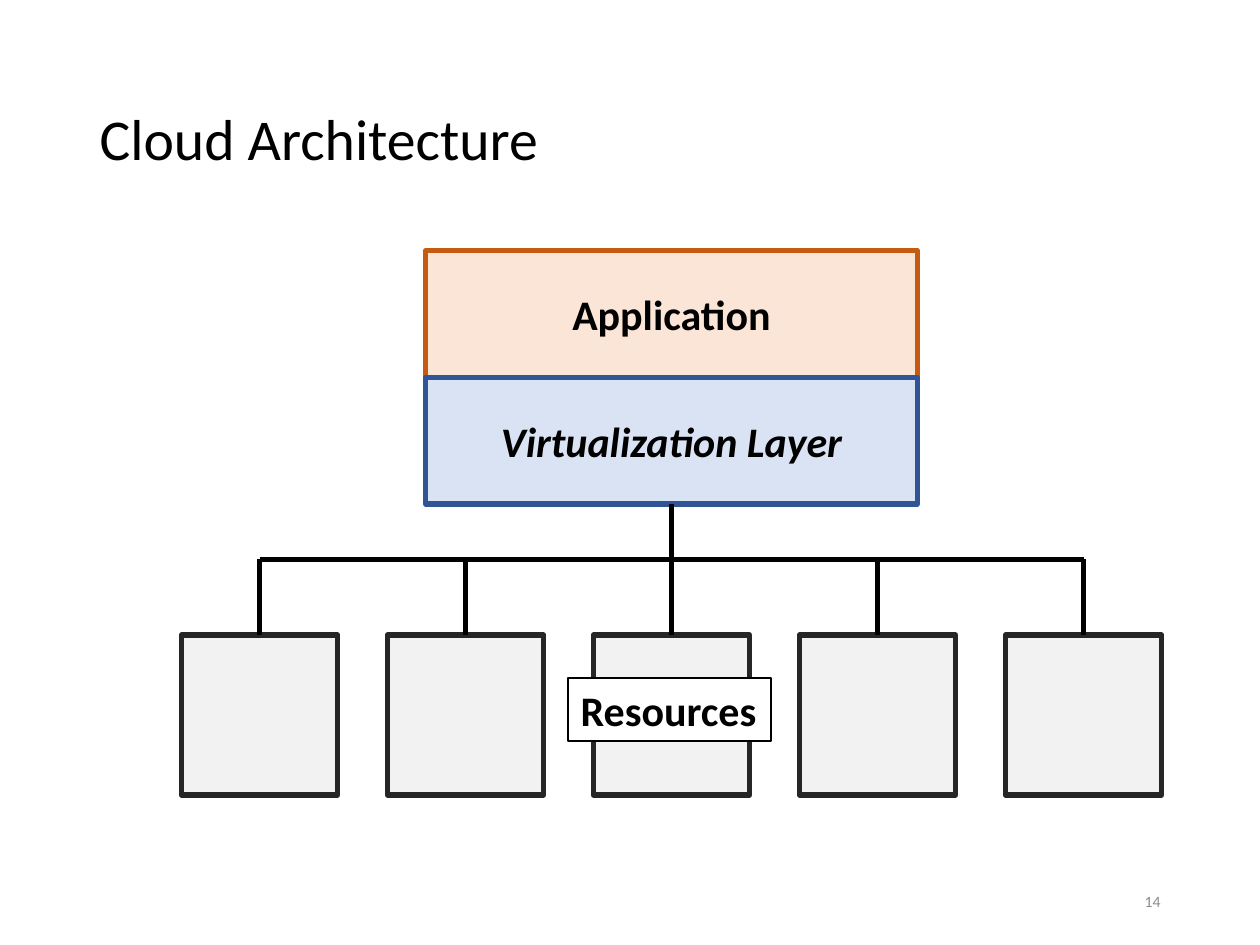
import pptx
import pptx.util
import pptx.dml.color
import pptx.enum.shapes
import pptx.enum.text
import pptx.oxml.ns
import lxml.etree

Inches = pptx.util.Inches
Pt = pptx.util.Pt
RGBColor = pptx.dml.color.RGBColor
ALIGN = pptx.enum.text.PP_ALIGN
ANCHOR = pptx.enum.text.MSO_ANCHOR
FIT = pptx.enum.text.MSO_AUTO_SIZE

BLACK = RGBColor(0x00, 0x00, 0x00)
WHITE = RGBColor(0xFF, 0xFF, 0xFF)
NUMBER_GRAY = RGBColor(0x8C, 0x8C, 0x8C)
ORANGE = RGBColor(0xC5, 0x5A, 0x11)
LIGHT_ORANGE = RGBColor(0xFB, 0xE5, 0xD6)
BLUE = RGBColor(0x2F, 0x55, 0x97)
LIGHT_BLUE = RGBColor(0xDA, 0xE3, 0xF3)
DARK_GRAY = RGBColor(0x26, 0x26, 0x26)
LIGHT_GRAY = RGBColor(0xF2, 0xF2, 0xF2)

LABEL = {"size": Pt(24), "bold": True}


def write_text(shape, text, font, color=BLACK, align=ALIGN.LEFT, frame=None):
    frame_format = {"word_wrap": True, "vertical_anchor": ANCHOR.MIDDLE, "auto_size": FIT.NONE}
    for name, value in {**frame_format, **(frame or {})}.items():
        setattr(shape.text_frame, name, value)
    para = shape.text_frame.paragraphs[0]
    para.alignment = align
    span = para.add_run()
    span.text = text
    for name, value in {"name": "Calibri", **font}.items():
        setattr(span.font, name, value)
    span.font.color.rgb = color
    return para


def add_box(page, left, top, width, height, fill, line, weight=3):
    box = page.shapes.add_shape(
        pptx.enum.shapes.MSO_SHAPE.RECTANGLE, left, top, width, height)
    box.shadow.inherit = False
    box.fill.solid()
    box.fill.fore_color.rgb = fill
    box.line.color.rgb = line
    box.line.width = Pt(weight)
    return box


def add_line(page, start_x, start_y, end_x, end_y):
    line = page.shapes.add_connector(
        pptx.enum.shapes.MSO_CONNECTOR.STRAIGHT, start_x, start_y, end_x, end_y)
    line.line.color.rgb = BLACK
    line.line.width = Pt(3)
    properties = line._element.spPr
    lxml.etree.SubElement(properties, pptx.oxml.ns.qn("a:effectLst"))
    return line


def place_title(page, left, top, width, height):
    title = page.shapes.title
    place = {"left": left, "top": top, "width": width, "height": height}
    for name, value in place.items():
        setattr(title, name, value)
    para = write_text(title, "Cloud Architecture", {"size": Pt(33)})
    para.line_spacing = 0.9


def place_page_number(page, left, top, width, height):
    box = page.shapes.add_textbox(left, top, width, height)
    write_text(box, "14", {"size": Pt(9)}, NUMBER_GRAY, ALIGN.RIGHT)


def place_layers(page, left, top, width, height):
    layers = [
        ("Application", LIGHT_ORANGE, ORANGE, LABEL),
        ("Virtualization Layer", LIGHT_BLUE, BLUE, {**LABEL, "italic": True}),
    ]
    layer_height = height // len(layers)
    for index, (text, fill, line, font) in enumerate(layers):
        box = add_box(page, left, top + index * layer_height, width, layer_height, fill, line)
        write_text(box, text, font, align=ALIGN.CENTER)
    return box


def place_resources(page, left, top, width, height, count=5):
    box_width = Inches(1.24)
    pitch = (width - box_width) // (count - 1)
    return [
        add_box(page, left + index * pitch, top, box_width, height, LIGHT_GRAY, DARK_GRAY)
        for index in range(count)
    ]


def place_tree(page, layer, resources, bus_y):
    centers = [box.left + box.width // 2 for box in resources]
    middle = len(resources) // 2
    add_line(page, centers[0], bus_y, centers[-1], bus_y)
    for index, (box, center) in enumerate(zip(resources, centers)):
        drop = add_line(page, center, box.top, center, bus_y)
        drop.begin_connect(box, 0)
        if index == middle:
            drop.end_connect(layer, 2)


def place_resource_label(page, left, top, width, height):
    box = add_box(page, left, top, width, height, WHITE, BLACK, 1)
    frame = {"word_wrap": False, "vertical_anchor": ANCHOR.TOP,
             "auto_size": FIT.SHAPE_TO_FIT_TEXT}
    write_text(box, "Resources", LABEL, frame=frame)


def main():
    deck = pptx.Presentation()
    deck.slide_width = Inches(10)
    deck.slide_height = Inches(7.5)
    page = deck.slides.add_slide(deck.slide_layouts[5])
    place_title(page, Inches(0.69), Inches(0.4), Inches(8.62), Inches(1.45))
    place_page_number(page, Inches(7.06), Inches(6.95), Inches(2.25), Inches(0.4))
    layer = place_layers(page, Inches(3.38), Inches(1.99), Inches(3.9), Inches(2.01))
    resources = place_resources(page, Inches(1.44), Inches(5.04), Inches(7.78), Inches(1.27))
    place_tree(page, layer, resources, Inches(4.44))
    place_resource_label(page, Inches(4.51), Inches(5.38), Inches(1.61), Inches(0.5))
    deck.save("out.pptx")


if __name__ == "__main__":
    main()
